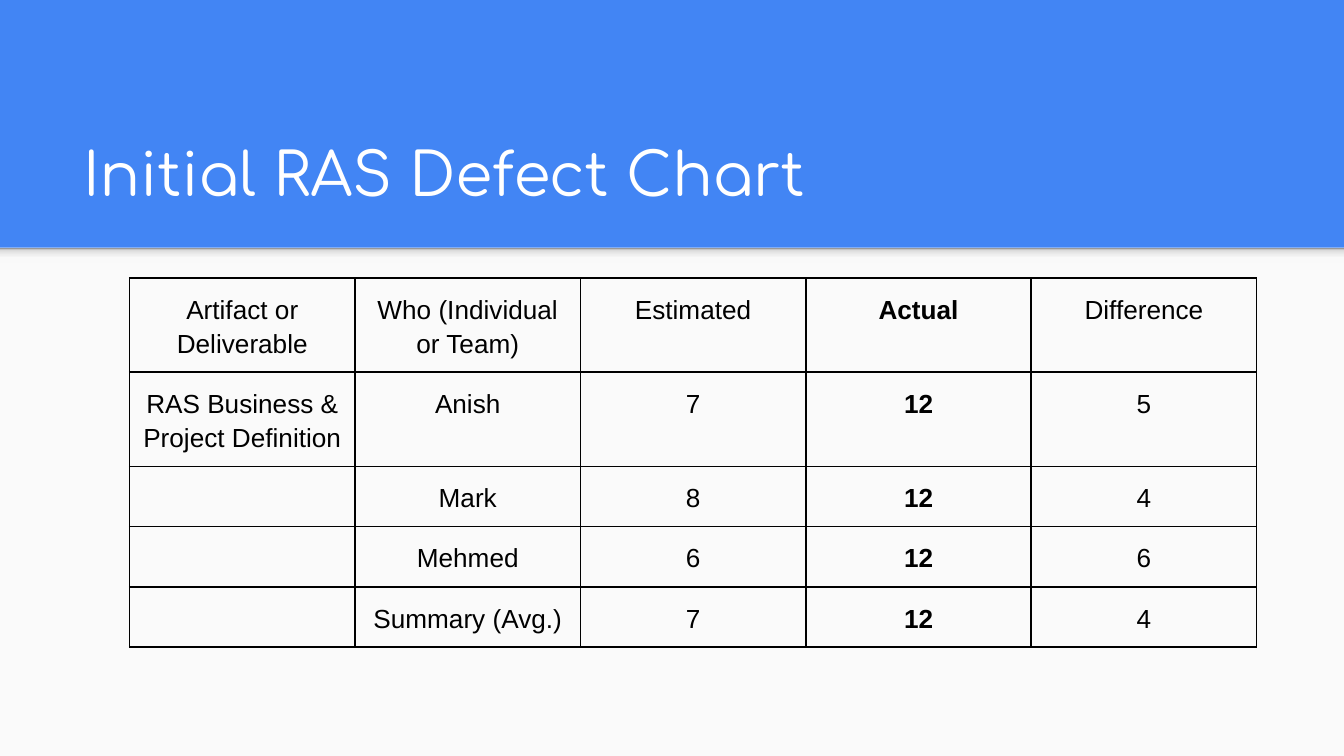
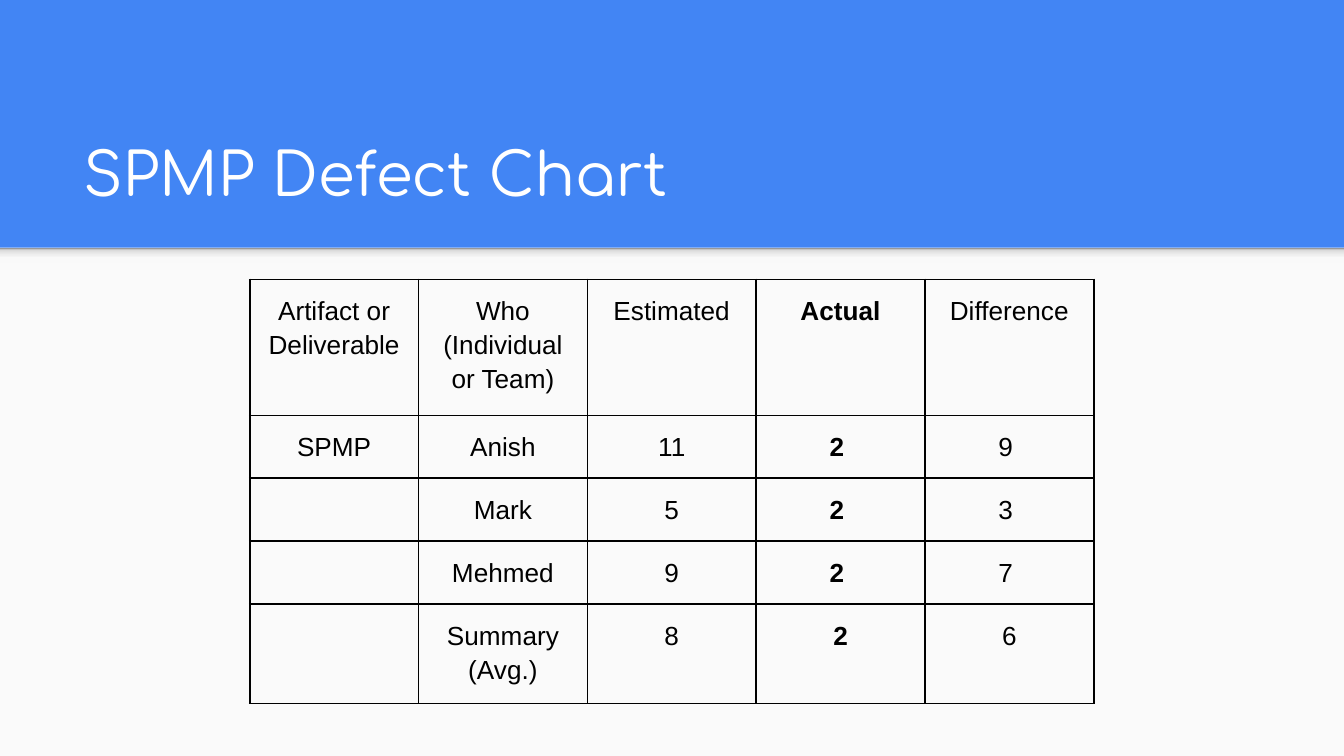
from copy import deepcopy

from lxml import etree
from pptx import Presentation
from pptx import util as u
from pptx.dml.color import RGBColor
from pptx.enum import shapes, text
from pptx.oxml import ns

COLOURS = {
    "band": "4285F4",
    "panel": "FAFAFA",
    "title": "FFFFFF",
    "ink": "000000",
}
SHADE = [(0, "F9F9F9"), (0.36, "F9F9F9"), (0.8, "DEDEDE"), (1, "999999")]
WIDTH, HEIGHT = u.Cm(25.4), u.Cm(14.29)
BAND_HEIGHT = u.Cm(4.68)
TITLE_BOX = (u.Cm(1.32), u.Cm(2.06), u.Cm(22.83), u.Cm(2.13))
HEADINGS = ["Artifact or Deliverable", "Who (Individual or Team)",
            "Estimated", "Actual", "Difference"]
BOLD_COLUMN = HEADINGS.index("Actual")

CHARTS = [
    {
        "title": "Initial RAS Defect Chart",
        "box": (u.Cm(2.45), u.Cm(5.26), u.Cm(21.3)),
        "row_heights": [u.Cm(1.07)] * 5,
        "rows": [
            ["RAS Business & Project Definition", "Anish", "7", "12", "5"],
            ["", "Mark", "8", "12", "4"],
            ["", "Mehmed", "6", "12", "6"],
            ["", "Summary (Avg.)", "7", "12", "4"],
        ],
    },
    {
        "title": "SPMP Defect Chart",
        "box": (u.Cm(4.72), u.Cm(5.28), u.Cm(15.95)),
        "row_heights": [u.Cm(2.57)] + [u.Cm(1.19)] * 3 + [u.Cm(1.88)],
        "rows": [
            ["SPMP", "Anish", "11", "2 ", "9 "],
            ["", "Mark", "5", "2 ", "3 "],
            ["", "Mehmed", "9", "2 ", "7 "],
            ["", "Summary (Avg.)", "8", "2", "6"],
        ],
    },
]


def rgb(name):
    return RGBColor.from_string(COLOURS[name])


def set_font(font, name, size, colour, bold=False):
    font.name, font.size, font.bold = name, u.Pt(size), bold
    font.color.rgb = rgb(colour)


def add_rectangle(slide, left, top, width, height):
    rectangle = slide.shapes.add_shape(
        shapes.MSO_SHAPE.RECTANGLE, left, top, width, height)
    rectangle.shadow.inherit = False
    rectangle.line.fill.background()
    return rectangle


def shade(rectangle):
    fill = rectangle.fill
    fill.gradient()
    fill.gradient_angle = 90
    stop_list = rectangle._element.spPr.find(".//" + ns.qn("a:gsLst"))
    while len(stop_list) < len(SHADE):
        stop_list.append(deepcopy(stop_list[0]))
    for stop, (position, colour) in zip(fill.gradient_stops, SHADE):
        stop.position = position
        stop.color.rgb = RGBColor.from_string(colour)


def dress_layout(layout, slide):
    background = layout.background.fill
    background.solid()
    background.fore_color.rgb = rgb("band")
    panel = add_rectangle(slide, 0, BAND_HEIGHT, WIDTH, HEIGHT - BAND_HEIGHT)
    panel.fill.solid()
    panel.fill.fore_color.rgb = rgb("panel")
    band_shadow = add_rectangle(slide, 0, BAND_HEIGHT, WIDTH, u.Cm(0.3))
    shade(band_shadow)
    for index, part in enumerate([panel, band_shadow], start=2):
        layout.shapes._spTree.insert(index, part._element)


def place_title(slide, wording, left, top, width, height):
    title = slide.shapes.title
    title.left, title.top, title.width, title.height = left, top, width, height
    frame = title.text_frame
    frame.text = wording
    frame.word_wrap = True
    frame.auto_size = text.MSO_AUTO_SIZE.NONE
    frame.vertical_anchor = text.MSO_ANCHOR.BOTTOM
    frame.margin_left = frame.margin_right = u.Cm(0.25)
    frame.margin_top = frame.margin_bottom = u.Cm(0.25)
    paragraph = frame.paragraphs[0]
    paragraph.alignment = text.PP_ALIGN.LEFT
    set_font(paragraph.font, "Comfortaa", 32, "title")


def outline(cell):
    properties = cell._tc.get_or_add_tcPr()
    for index, side in enumerate(["lnL", "lnR", "lnT", "lnB"]):
        border = etree.Element(ns.qn("a:" + side), w=str(u.Pt(0.99)))
        fill = etree.SubElement(border, ns.qn("a:solidFill"))
        etree.SubElement(fill, ns.qn("a:srgbClr"), val=COLOURS["ink"])
        properties.insert(index, border)


def write_cell(cell, wording, bold):
    cell.fill.background()
    outline(cell)
    if not wording:
        return
    cell.margin_left = cell.margin_right = u.Cm(0.18)
    cell.margin_top = cell.margin_bottom = u.Cm(0.25)
    cell.text = wording
    paragraph = cell.text_frame.paragraphs[0]
    paragraph.alignment = text.PP_ALIGN.CENTER
    paragraph.line_spacing = 1.15
    set_font(paragraph.font, "Arial", 14, "ink", bold)


def place_defects(slide, rows, row_heights, left, top, width):
    lines = [HEADINGS] + rows
    table = slide.shapes.add_table(
        len(lines), len(HEADINGS), left, top, width, sum(row_heights)).table
    table.first_row = table.horz_banding = False
    for row, height in zip(table.rows, row_heights):
        row.height = height
    for r, line in enumerate(lines):
        for c, wording in enumerate(line):
            write_cell(table.cell(r, c), wording, c == BOLD_COLUMN)


def build():
    deck = Presentation()
    deck.slide_width, deck.slide_height = WIDTH, HEIGHT
    title_only = deck.slide_layouts[5]
    for chart in CHARTS:
        slide = deck.slides.add_slide(title_only)
        place_title(slide, chart["title"], *TITLE_BOX)
        place_defects(slide, chart["rows"], chart["row_heights"], *chart["box"])
    dress_layout(title_only, deck.slides[0])
    deck.save("out.pptx")


build()
